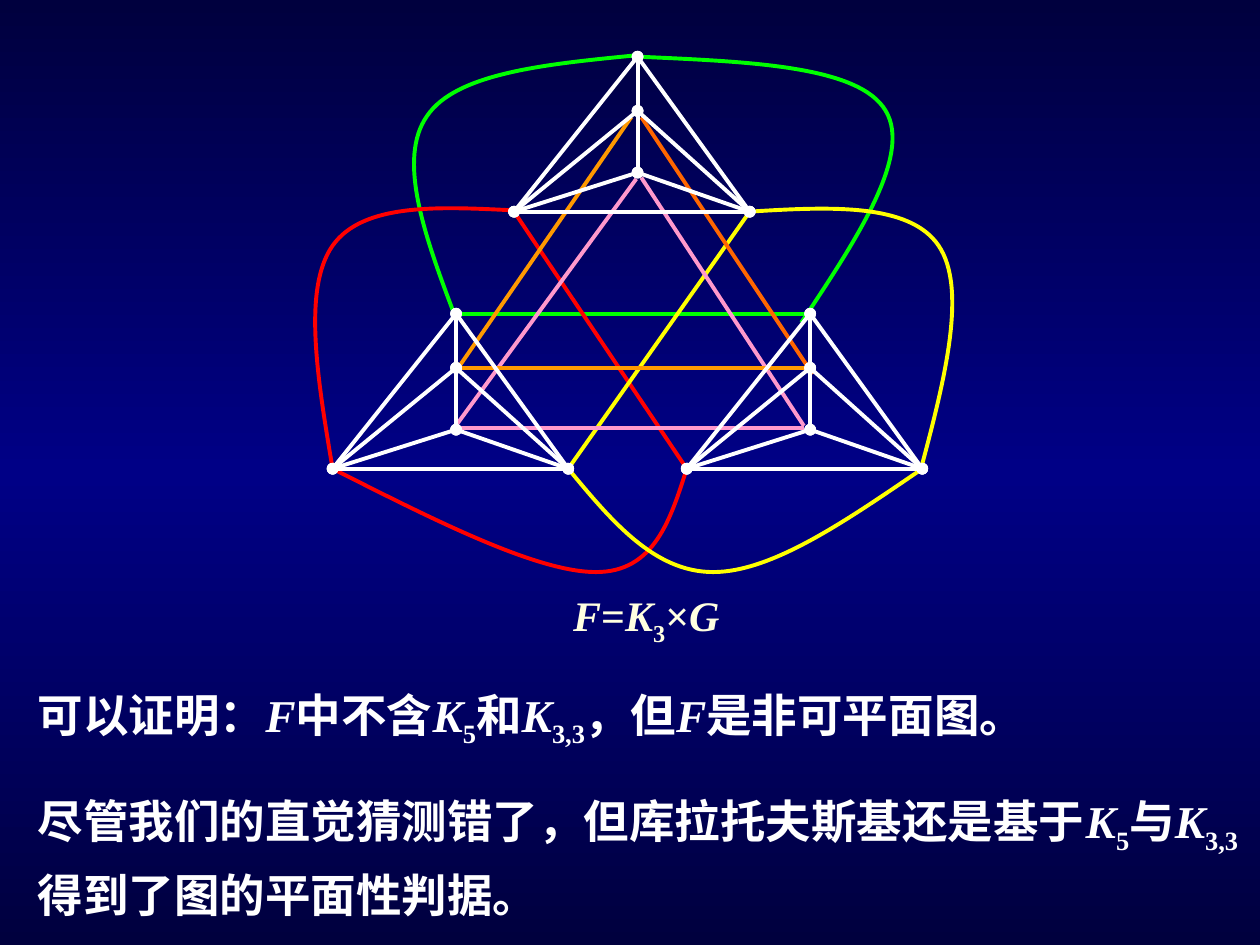
from copy import deepcopy

from pptx import Presentation, util as u
from pptx.dml.color import RGBColor
from pptx.enum import shapes, text
from pptx.oxml import ns, xmlchemy as xml

PX = 9144  # one px is a hundredth of an inch
THEME = {
    "font": "Times New Roman", "body": 26, "label": 24, "line": 2.25,
    "edge": "00003E", "mid": "000086", "white": "FFFFFF", "cream": "FFFFE1",
    "green": "00FF00", "red": "FF0000", "yellow": "FFFF00",
    "pink": "FF99CC", "amber": "FF9900", "orange": "FF6600",
}


def style(shape, hue):
    shape.line.color.rgb = RGBColor.from_string(THEME[hue])
    shape.line.width = u.Pt(THEME["line"])
    if shape.element.spPr.find(ns.qn("a:effectLst")) is None:
        shape.element.spPr.append(xml.OxmlElement("a:effectLst"))


def link(start, end, hue, dots=False):
    ends = [n * PX for n in (*start, *end)]
    line = slide.shapes.add_connector(shapes.MSO_CONNECTOR.STRAIGHT, *ends)
    style(line, hue)
    if dots:
        for tag in ("a:headEnd", "a:tailEnd"):
            tip = xml.OxmlElement(tag)
            tip.set("type", "oval")
            line.line._get_or_add_ln().append(tip)


deck = Presentation()
deck.slide_width, deck.slide_height = 1000 * PX, 750 * PX
slide = deck.slides.add_slide(deck.slide_layouts[6])

# Background: dark at top and bottom, lighter in the middle
fill = slide.background.fill
fill.gradient()
fill.gradient_angle = 270
stops = slide.element.find(".//" + ns.qn("a:gsLst"))
stops.append(deepcopy(stops[0]))
for stop, (pos, hue) in zip(fill.gradient_stops,
                            [(0, "edge"), (0.5, "mid"), (1, "edge")]):
    stop.position = pos
    stop.color.rgb = RGBColor.from_string(THEME[hue])

# Texts: i is italic, s is subscript
K5 = [("K", "i"), ("5", "s")]
K33 = [("K", "i"), ("3,3", "s")]
TEXTS = [
    ((20, 540, 921, 60), "body", "white", 1.0,
     [("可以证明：", ""), ("F", "i"), ("中不含", ""), *K5, ("和", ""), *K33,
      ("，但", ""), ("F", "i"), ("是非可平面图。", "")]),
    ((20, 615, 973, 129), "body", "white", 1.2,
     [("尽管我们的直觉猜测错了，但库拉托夫斯基还是基于", ""), *K5,
      ("与", ""), *K33, ("得到了图的平面性判据。", "")]),
    ((445, 454, 162, 65), "label", "cream", 1.2,
     [("F", "i"), ("=", ""), ("K", "i"), ("3", "s"), ("×", ""), ("G", "i")]),
]
for area, size, hue, gap, runs in TEXTS:
    frame = slide.shapes.add_textbox(*[n * PX for n in area]).text_frame
    frame.word_wrap = True
    frame.auto_size = text.MSO_AUTO_SIZE.SHAPE_TO_FIT_TEXT
    para = frame.paragraphs[0]
    para.line_spacing = gap
    for words, mark in runs:
        run = para.add_run()
        run.text = words
        look = {"name": THEME["font"], "size": u.Pt(THEME[size]),
                "bold": True, "italic": mark == "i"}
        for key, val in look.items():
            setattr(run.font, key, val)
        run.font.color.rgb = RGBColor.from_string(THEME[hue])
        if mark == "s":
            run._r.get_or_add_rPr().set("baseline", "-25000")

# Outer curves: a start, then two Bézier segments of three points
CURVES = [
    ("green", [(504, 44), (433, 51), (362, 58), (339, 92),
               (315, 126), (337, 187), (360, 248)]),
    ("green", [(507, 45), (594, 49), (682, 52), (703, 88),
               (724, 123), (680, 190), (636, 256)]),
    ("red", [(408, 167), (348, 164), (288, 161), (264, 195),
             (240, 229), (252, 301), (264, 372)]),
    ("red", [(545, 372), (532, 413), (519, 454), (473, 454),
             (426, 454), (345, 413), (264, 372)]),
    ("yellow", [(595, 168), (659, 164), (722, 161), (745, 195),
                (768, 229), (750, 301), (731, 372)]),
    ("yellow", [(451, 372), (485, 413), (519, 454), (566, 454),
                (613, 454), (672, 413), (732, 372)]),
]
for hue, pts in CURVES:
    pen = slide.shapes.build_freeform(*pts[0], scale=PX)
    pen.add_line_segments(pts[1:], close=False)
    curve = pen.convert_to_shape()
    curve.shadow.inherit = False
    curve.fill.background()
    style(curve, hue)
    # Turn each three straight steps into one cubic segment
    steps = list(curve.element.iter(ns.qn("a:lnTo")))
    for i in range(0, len(steps), 3):
        cubic = xml.OxmlElement("a:cubicBezTo")
        steps[i].addprevious(cubic)
        for step in steps[i:i + 3]:
            cubic.append(step[0])
            step.getparent().remove(step)

# Straight links between the three copies of G
LINKS = [
    ("green", (365, 249), (645, 249)),
    ("red", (408, 168), (545, 372)),
    ("yellow", (595, 168), (451, 372)),
    ("pink", (365, 340), (638, 340)),
    ("pink", (505, 142), (361, 339)),
    ("pink", (509, 141), (638, 338)),
    ("amber", (501, 93), (365, 290)),
    ("orange", (509, 93), (645, 297)),
    ("amber", (364, 292), (644, 292)),
]
for hue, start, end in LINKS:
    link(start, end, hue)

# Three copies of G, each placed by its apex
NODES = {"top": (0, 0), "mid": (0, 43), "low": (0, 92),
         "left": (-98, 123), "right": (89, 123)}
EDGES = ["top left", "left right", "top right", "top mid", "mid left",
         "mid right", "mid low", "low left", "low right"]
for x, y in [(362, 249), (643, 249), (506, 45)]:
    spot = {name: (x + dx, y + dy) for name, (dx, dy) in NODES.items()}
    for edge in EDGES:
        start, end = edge.split()
        link(spot[start], spot[end], "white", dots=True)

deck.save("out.pptx")
